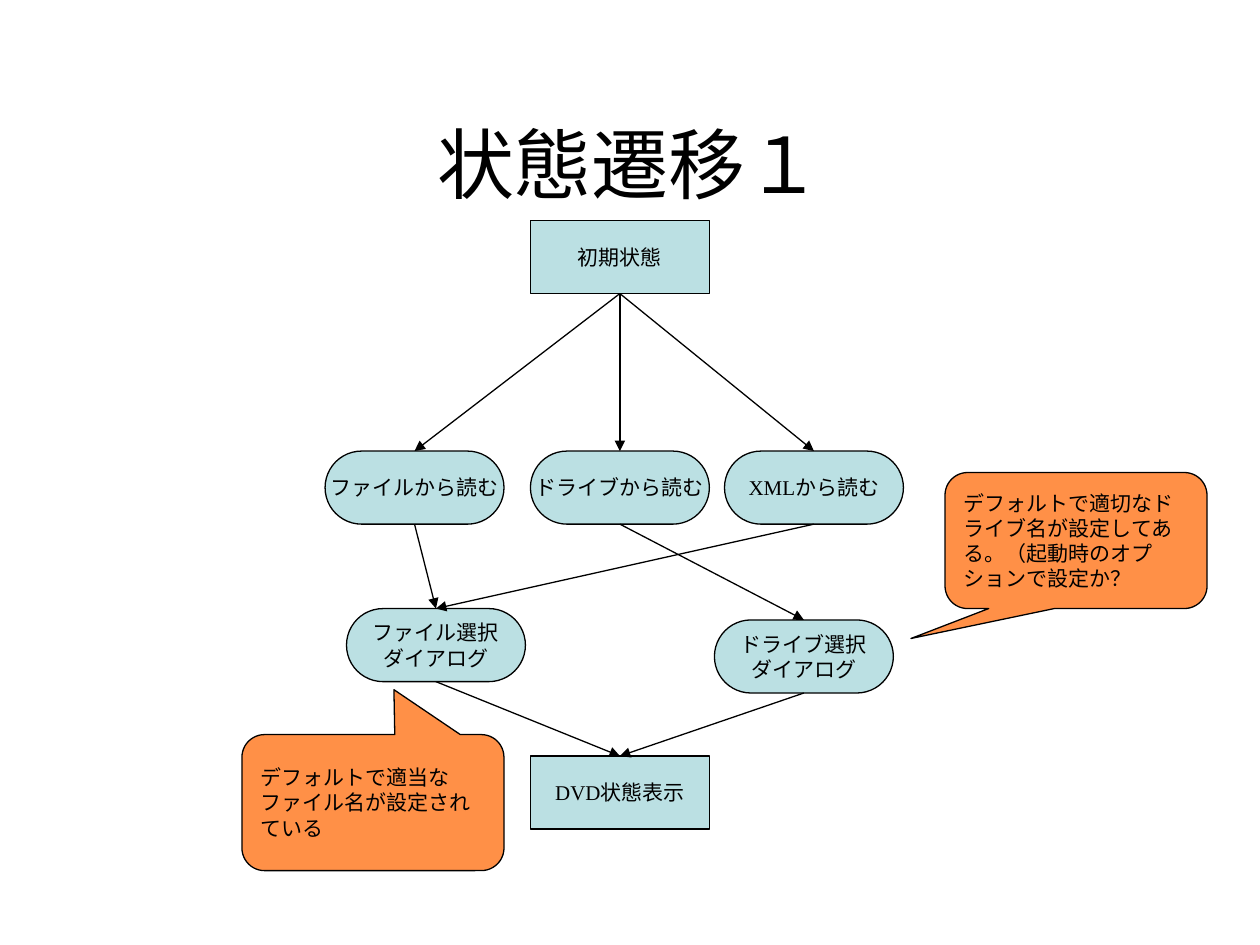
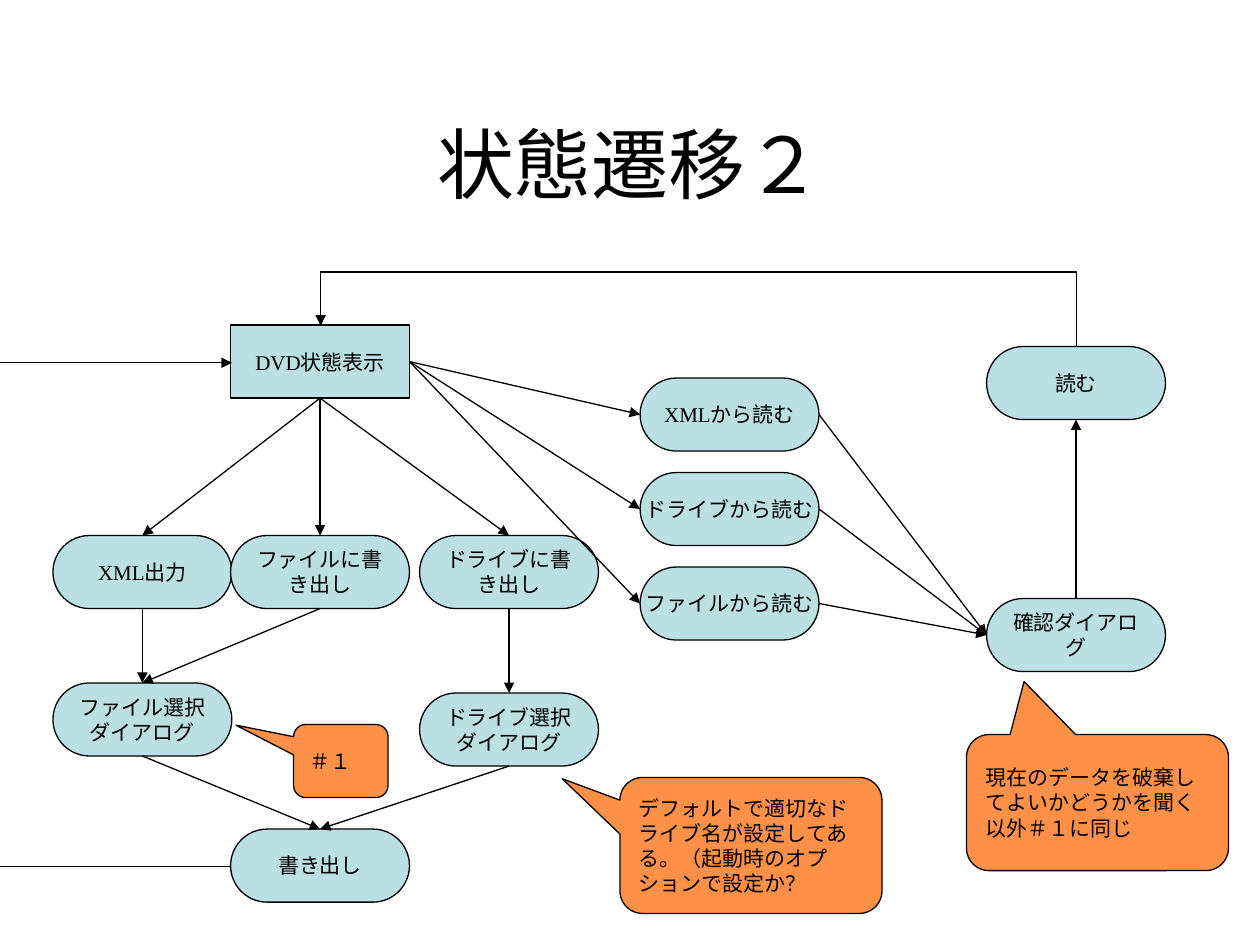
from lxml import etree
from pptx import Presentation
from pptx.dml.color import RGBColor
from pptx.enum.shapes import MSO_CONNECTOR, MSO_SHAPE
from pptx.enum.text import MSO_ANCHOR, MSO_AUTO_SIZE, PP_ALIGN
from pptx.oxml.ns import qn
from pptx.util import Inches, Pt

RECTANGLE = MSO_SHAPE.RECTANGLE
ROUNDED = MSO_SHAPE.ROUNDED_RECTANGLE
CALLOUT = MSO_SHAPE.ROUNDED_RECTANGULAR_CALLOUT
STRAIGHT, ELBOW = MSO_CONNECTOR.STRAIGHT, MSO_CONNECTOR.ELBOW
LEFT, CENTER, MIDDLE = PP_ALIGN.LEFT, PP_ALIGN.CENTER, MSO_ANCHOR.MIDDLE
TOP_SIDE, LEFT_SIDE, BOTTOM_SIDE, RIGHT_SIDE = range(4)

FONT = "Times New Roman"
BLACK, STATE_FILL, NOTE_FILL = "000000", "BBE0E3", "FF6600"
NOTE_OPACITY = 72000
STATE_SIZE = (1.42, 0.58)
NOTE_SIZE = (2.08, 1.08)

DVD = "DVD状態表示"
READ_XML, READ_DRIVE, READ_FILE = "XMLから読む", "ドライブから読む", "ファイルから読む"
WRITE_XML, WRITE_FILE, WRITE_DRIVE = "XML出力", "ファイルに書き出し", "ドライブに書き出し"
PICK_FILE, PICK_DRIVE = "ファイル選択ダイアログ", "ドライブ選択ダイアログ"
START, CONFIRM, READ, WRITE = "初期状態", "確認ダイアログ", "読む", "書き出し"
DRIVE_NOTE = "デフォルトで適切なドライブ名が設定してある。（起動時のオプションで設定か？"

# Labels that stay on one line; the others wrap inside their shape
SINGLE_LINE = {START, DVD, READ_DRIVE, READ_FILE, WRITE_XML, WRITE}

# states: label -> (left, top)
# arrows: (source, side, target, side)
# notes: (text, left, top, size, pointer x, pointer y)
# loops: (from x, from y, to x, to y, rotation in degrees, bend as a share of the width)
SLIDES = [
    {
        "title": "状態遷移１",
        "states": {
            START: (4.21, 1.75),
            READ_FILE: (2.58, 3.58), READ_DRIVE: (4.21, 3.58), READ_XML: (5.75, 3.58),
            PICK_FILE: (2.75, 4.83), PICK_DRIVE: (5.67, 4.92),
            DVD: (4.21, 6),
        },
        "arrows": [(source, BOTTOM_SIDE, target, TOP_SIDE) for source, target in [
            (START, READ_FILE), (START, READ_DRIVE), (START, READ_XML),
            (READ_FILE, PICK_FILE), (READ_XML, PICK_FILE), (READ_DRIVE, PICK_DRIVE),
            (PICK_FILE, DVD), (PICK_DRIVE, DVD),
        ]],
        "loops": [],
        "notes": [
            (DRIVE_NOTE, 7.5, 3.75, NOTE_SIZE, -0.63, 0.72),
            ("デフォルトで適当なファイル名が設定されている", 1.92, 5.83, NOTE_SIZE, 0.08, -0.83),
        ],
    },
    {
        "title": "状態遷移２",
        "states": {
            DVD: (1.83, 2.58),
            WRITE_XML: (0.42, 4.25), WRITE_FILE: (1.83, 4.25), WRITE_DRIVE: (3.33, 4.25),
            PICK_FILE: (0.42, 5.42), PICK_DRIVE: (3.33, 5.5),
            WRITE: (1.83, 6.58),
            READ_XML: (5.08, 3), READ_DRIVE: (5.08, 3.75), READ_FILE: (5.08, 4.5),
            CONFIRM: (7.83, 4.75), READ: (7.83, 2.75),
        },
        "arrows": [(source, BOTTOM_SIDE, target, TOP_SIDE) for source, target in [
            (DVD, WRITE_XML), (DVD, WRITE_FILE), (DVD, WRITE_DRIVE),
            (WRITE_XML, PICK_FILE), (WRITE_FILE, PICK_FILE), (WRITE_DRIVE, PICK_DRIVE),
            (PICK_FILE, WRITE), (PICK_DRIVE, WRITE),
        ]] + [(source, RIGHT_SIDE, target, LEFT_SIDE) for source, target in [
            (DVD, READ_XML), (DVD, READ_DRIVE), (DVD, READ_FILE),
            (READ_XML, CONFIRM), (READ_DRIVE, CONFIRM), (READ_FILE, CONFIRM),
        ]] + [(CONFIRM, TOP_SIDE, READ, BOTTOM_SIDE)],
        "loops": [
            (1.83, 6.88, 1.84, 2.88, 0, -215),
            (5.46, 5.67, 5.63, -0.33, 270, 3.5),
        ],
        "notes": [
            (DRIVE_NOTE, 4.92, 6.17, NOTE_SIZE, -0.72, -0.49),
            ("＃１", 2.33, 5.75, (0.75, 0.58), -1.11, -0.49),
            ("現在のデータを破棄してよいかどうかを聞く以外＃１に同じ",
             7.67, 5.83, NOTE_SIZE, -0.28, -0.89),
        ],
    },
]


def add_box(slide, kind, left, top, size, fill, text, alignment):
    """Add an outlined shape with one run of black text."""
    shape = slide.shapes.add_shape(kind, Inches(left), Inches(top), *map(Inches, size))
    shape.shadow.inherit = False
    shape.fill.solid()
    shape.fill.fore_color.rgb = RGBColor.from_string(fill)
    shape.line.color.rgb = RGBColor.from_string(BLACK)
    shape.line.width = Pt(0.75)
    frame = shape.text_frame
    frame.word_wrap = text not in SINGLE_LINE
    frame.vertical_anchor = MIDDLE
    paragraph = frame.paragraphs[0]
    paragraph.alignment = alignment
    run = paragraph.add_run()
    run.text = text
    run.font.name = FONT
    run.font.size = Pt(12)
    run.font.color.rgb = RGBColor.from_string(BLACK)
    return shape


def add_arrow(slide, kind, *ends):
    connector = slide.shapes.add_connector(kind, *map(Inches, ends))
    connector.line.color.rgb = RGBColor.from_string(BLACK)
    connector.line.width = Pt(0.75)
    etree.SubElement(connector.line._get_or_add_ln(), qn("a:tailEnd"), type="triangle")
    etree.SubElement(connector._element.spPr, qn("a:effectLst"))
    return connector


presentation = Presentation()
presentation.slide_width = Inches(10)
presentation.slide_height = Inches(7.5)
title_only = presentation.slide_layouts[5]

for content in SLIDES:
    slide = presentation.slides.add_slide(title_only)

    title = slide.shapes.title
    title.left, title.top = Inches(0.75), Inches(0.67)
    title.width, title.height = Inches(8.5), Inches(1.25)
    title.text_frame.auto_size = MSO_AUTO_SIZE.NONE
    title.text_frame.vertical_anchor = MIDDLE
    paragraph = title.text_frame.paragraphs[0]
    paragraph.alignment = CENTER
    run = paragraph.add_run()
    run.text = content["title"]
    run.font.name = FONT
    run.font.size = Pt(44)
    run.font.color.rgb = RGBColor.from_string(BLACK)

    states = {}
    for label, (left, top) in content["states"].items():
        kind = RECTANGLE if label in (START, DVD) else ROUNDED
        state = add_box(slide, kind, left, top, STATE_SIZE, STATE_FILL, label, CENTER)
        if kind == ROUNDED:
            state.adjustments[0] = 0.5
        states[label] = state

    for source, source_side, target, target_side in content["arrows"]:
        arrow = add_arrow(slide, STRAIGHT, 0, 0, 0, 0)
        arrow.begin_connect(states[source], source_side)
        arrow.end_connect(states[target], target_side)

    for *ends, rotation, bend in content["loops"]:
        properties = add_arrow(slide, ELBOW, *ends)._element.spPr
        properties.find(qn("a:xfrm")).set("rot", str(rotation * 60000))
        guides = properties.find(qn("a:prstGeom")).find(qn("a:avLst"))
        etree.SubElement(guides, qn("a:gd"), name="adj1", fmla=f"val {round(bend * 100000)}")

    for text, left, top, size, pointer_x, pointer_y in content["notes"]:
        note = add_box(slide, CALLOUT, left, top, size, NOTE_FILL, text, LEFT)
        note.adjustments[0] = pointer_x
        note.adjustments[1] = pointer_y
        color = note._element.spPr.find(qn("a:solidFill"))[0]
        etree.SubElement(color, qn("a:alpha"), val=str(NOTE_OPACITY))

presentation.save("out.pptx")
